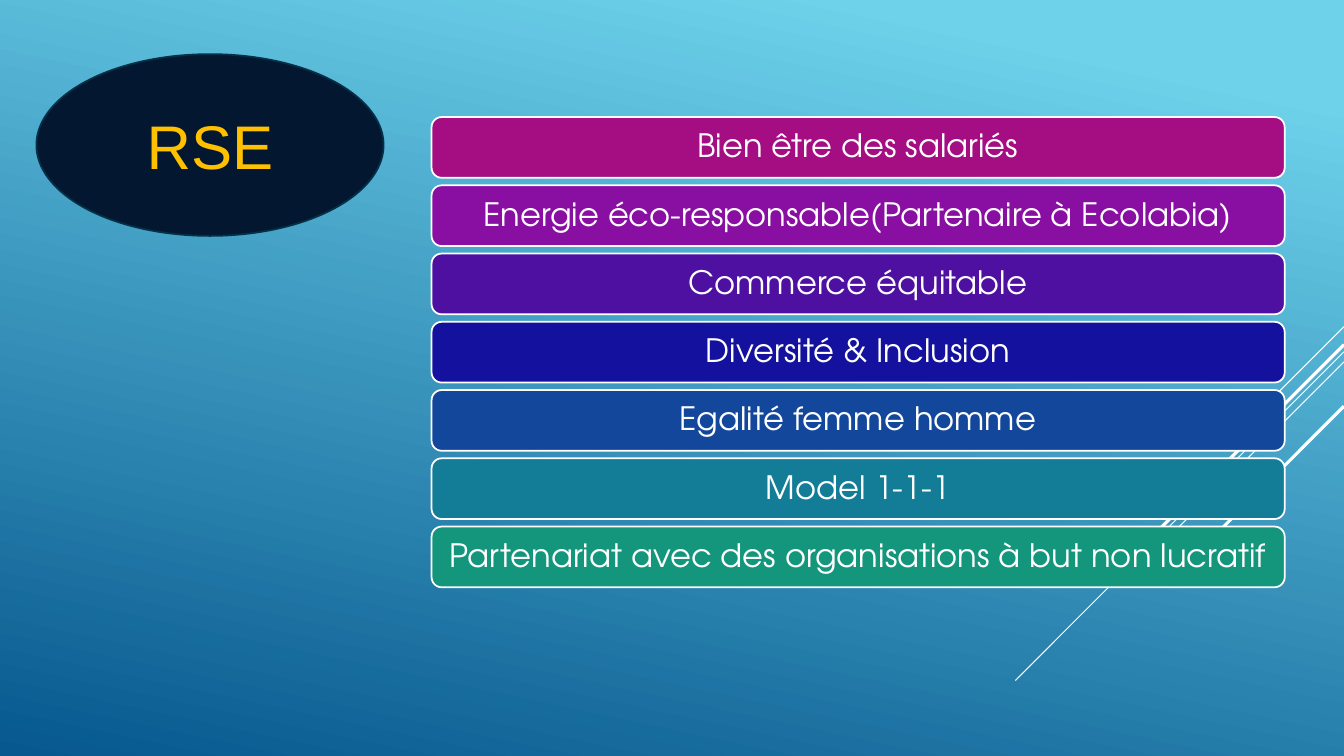
from lxml.etree import SubElement
from pptx import Presentation
from pptx.dml.color import RGBColor
from pptx.enum.shapes import MSO_CONNECTOR, MSO_SHAPE
from pptx.enum.text import MSO_ANCHOR, PP_ALIGN
from pptx.oxml.ns import qn
from pptx.util import Pt

theme = {
    "sky": RGBColor.from_string("6ED2EB"),
    "sea": RGBColor.from_string("06588E"),
    "white": RGBColor.from_string("FFFFFF"),
    "navy": RGBColor.from_string("031730"),
    "navy_edge": RGBColor.from_string("043148"),
    "gold": RGBColor.from_string("FFC000"),
    "commitments": ["A50E82", "890FA2", "4D10A0", "13119D", "12479B", "137D98", "14967C"],
    "title_font": "Arial",
    "title_size": Pt(44),
    "commitment_font": "TeX Gyre Adventor",
    "commitment_size": Pt(23),
}

commitments = [
    "Bien être des salariés",
    "Energie éco-responsable(Partenaire à Ecolabia)",
    "Commerce équitable",
    "Diversité & Inclusion",
    "Egalité femme homme",
    "Model 1-1-1",
    "Partenariat avec des organisations à but non lucratif",
]

rays = [
    (233.3, 72, 0.75),
    (251.3, 234.7, 0.75),
    (258.5, 149.4, 0.75),
    (246.2, 137.5, 2.25),
    (290.2, 100.1, 2.25),
]


def add_panel(kind, left, top, width, height):
    panel = slide.shapes.add_shape(kind, Pt(left), Pt(top), Pt(width), Pt(height))
    panel.shadow.inherit = False
    return panel


def style_label(panel, wording, fill, edge, font_name, size, color):
    panel.fill.solid()
    panel.fill.fore_color.rgb = fill
    panel.line.color.rgb = edge
    panel.line.width = Pt(1.25)
    frame = panel.text_frame
    frame.word_wrap = True
    frame.vertical_anchor = MSO_ANCHOR.MIDDLE
    label = frame.paragraphs[0]
    label.text = wording
    label.alignment = PP_ALIGN.CENTER
    label.font.name = font_name
    label.font.size = size
    label.font.color.rgb = color
    return label


deck = Presentation()
deck.slide_width = Pt(960)
deck.slide_height = Pt(540)
slide = deck.slides.add_slide(deck.slide_layouts[6])

backdrop = add_panel(MSO_SHAPE.RECTANGLE, 0, 0, 960, 540)
backdrop.line.fill.background()
backdrop.fill.gradient()
backdrop.fill.gradient_angle = 258
light, dark = backdrop.fill.gradient_stops
light.color.rgb = theme["sky"]
light.position = 0.1
dark.color.rgb = theme["sea"]
dark.position = 1

for top, reach, weight in rays:
    ray = slide.shapes.add_connector(
        MSO_CONNECTOR.STRAIGHT, Pt(960), Pt(top), Pt(960 - reach), Pt(top + reach))
    ray.line.color.rgb = theme["white"]
    ray.line.width = Pt(weight)
    SubElement(ray._element.spPr, qn("a:effectLst"))

for row, (wording, shade) in enumerate(zip(commitments, theme["commitments"])):
    bar = add_panel(MSO_SHAPE.ROUNDED_RECTANGLE, 308.3, 83.6 + row * 48.75, 609.4, 43.4)
    commitment = style_label(
        bar, wording, RGBColor.from_string(shade), theme["white"],
        theme["commitment_font"], theme["commitment_size"], theme["white"])
    commitment.line_spacing = 0.9

oval = add_panel(MSO_SHAPE.OVAL, 26, 38.7, 248, 129.8)
style_label(oval, "RSE", theme["navy"], theme["navy_edge"],
            theme["title_font"], theme["title_size"], theme["gold"])

deck.save("out.pptx")
